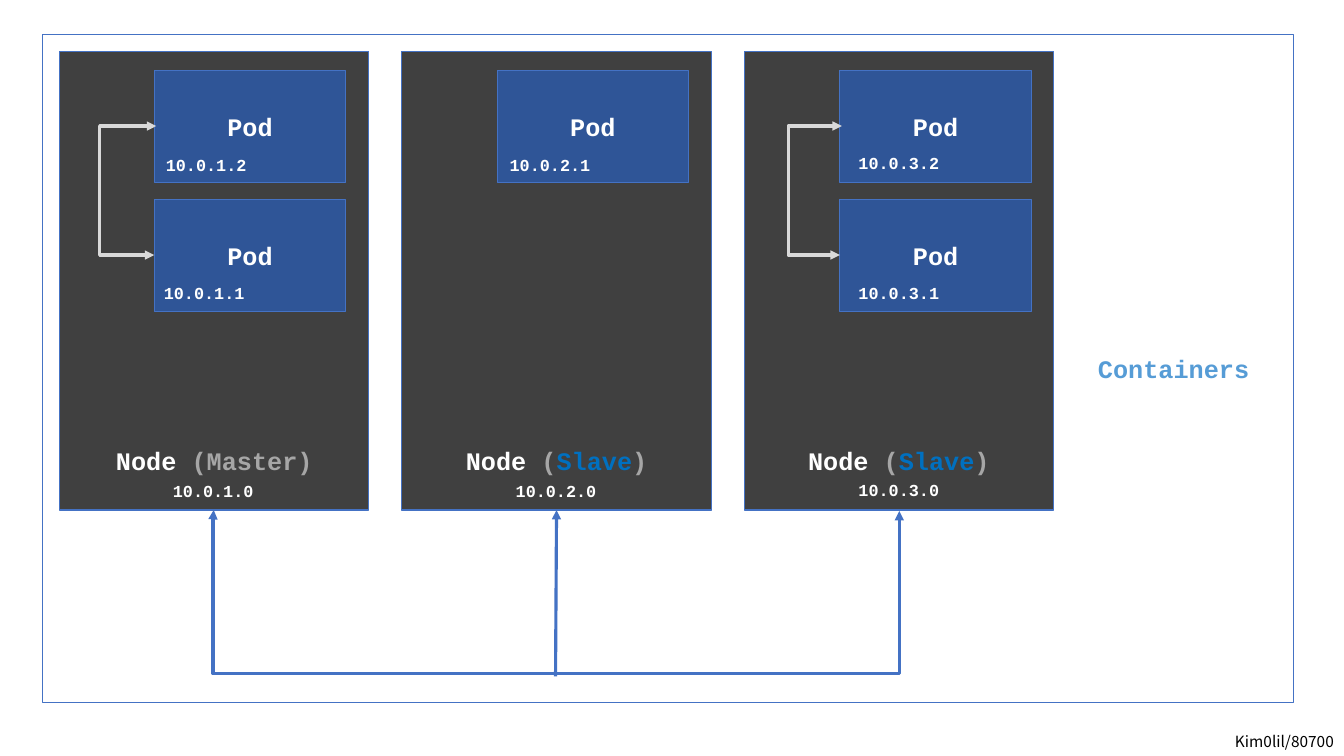
"""Draw a container cluster diagram with three nodes, their pods and the network links."""
from lxml import etree
from pptx import Presentation
from pptx.dml.color import RGBColor
from pptx.enum import shapes, text
from pptx.oxml import ns
from pptx.util import Inches, Pt

WHITE = RGBColor(0xFF, 0xFF, 0xFF)
BLACK = RGBColor(0x00, 0x00, 0x00)
NODE_GRAY = RGBColor(0x40, 0x40, 0x40)
ROLE_GRAY = RGBColor(0xA6, 0xA6, 0xA6)
POD_LINK = RGBColor(0xD9, 0xD9, 0xD9)
BLUE = RGBColor(0x44, 0x72, 0xC4)
POD_BLUE = RGBColor(0x2F, 0x55, 0x97)
SLAVE_BLUE = RGBColor(0x00, 0x70, 0xC0)
TITLE_BLUE = RGBColor(0x56, 0x9C, 0xD6)
MIDDLE = text.MSO_ANCHOR.MIDDLE
CENTER = text.PP_ALIGN.CENTER

deck = Presentation()
deck.slide_width, deck.slide_height = Inches(13.33), Inches(7.5)
page = deck.slides.add_slide(deck.slide_layouts[6])


def add_box(place, spans=(), size=18, fill=None, outlined=True, anchor=MIDDLE,
            align=CENTER, font="Courier New", bold=True):
    """Add a rectangle or a text box holding one line of coloured spans."""
    lengths = [Inches(value) for value in place]
    if outlined:
        box = page.shapes.add_shape(shapes.MSO_SHAPE.RECTANGLE, *lengths)
        box.shadow.inherit = False
        box.line.color.rgb = BLUE
        box.line.width = Pt(0.75)
        if fill is None:
            box.fill.background()
        else:
            box.fill.solid()
            box.fill.fore_color.rgb = fill
    else:
        box = page.shapes.add_textbox(*lengths)
    frame = box.text_frame
    frame.word_wrap = True
    frame.vertical_anchor = anchor
    para = frame.paragraphs[0]
    para.alignment = align
    for words, color in spans:
        span = para.add_run()
        span.text = words
        span.font.name = font
        span.font.size = Pt(size)
        span.font.bold = bold
        span.font.color.rgb = color
        if font != "Courier New":
            etree.SubElement(span.font._element, ns.qn("a:ea"), typeface=font)
    return box


def add_link(kind, start, end, color, ends, preset=None, bends=()):
    """Add a connector with arrowheads and optional bend positions."""
    link = page.shapes.add_connector(kind, *[Inches(value) for value in start + end])
    link.line.color.rgb = color
    link.line.width = Pt(2.25)
    line = link.line._get_or_add_ln()
    for name in ends:
        etree.SubElement(line, ns.qn(f"a:{name}"), type="triangle")
    properties = link._element.spPr
    etree.SubElement(properties, ns.qn("a:effectLst"))
    geometry = properties.find(ns.qn("a:prstGeom"))
    if preset:
        geometry.set("prst", preset)
    guides = geometry.find(ns.qn("a:avLst"))
    for number, bend in enumerate(bends, 1):
        etree.SubElement(guides, ns.qn("a:gd"), name=f"adj{number}",
                         fmla=f"val {round(bend * 100000)}")


add_box((11.36, 7.21, 1.97, 0.29), [("Kim0lil/80700", BLACK)], size=11, outlined=False,
        anchor=text.MSO_ANCHOR.TOP, align=text.PP_ALIGN.RIGHT,
        font="Noto Sans CJK KR", bold=False)
add_box((0.42, 0.34, 12.41, 6.63))

master = [("(Master)", ROLE_GRAY)]
slave = [("(", ROLE_GRAY), ("Slave", SLAVE_BLUE), (")", ROLE_GRAY)]
for column, role in enumerate([master, slave, slave]):
    node = add_box((0.59 + 3.395 * column, 0.51, 3.07, 4.55), [("Node ", WHITE)] + role,
                   fill=NODE_GRAY, anchor=text.MSO_ANCHOR.BOTTOM)
    node.text_frame.margin_bottom = Inches(0.34)

add_box((10.78, 0.34, 1.72, 6.63), [("Containers", TITLE_BLUE)], outlined=False)

for column, top in [(0, 1.98), (2, 1.98), (0, 0.7), (1, 0.7), (2, 0.7)]:
    add_box((1.53 + 3.4 * column, top, 1.9, 1.11), [("Pod", WHITE)], fill=POD_BLUE)

addresses = [
    ("10.0.1.0", 1.53, 4.71), ("10.0.2.0", 4.93, 4.71), ("10.0.3.0", 8.33, 4.7),
    ("10.0.1.1", 1.44, 2.75), ("10.0.1.2", 1.46, 1.48), ("10.0.2.1", 4.87, 1.48),
    ("10.0.3.1", 8.33, 2.75), ("10.0.3.2", 8.33, 1.46),
]
for address, left, top in addresses:
    add_box((left, top, 1.17, 0.31), [(address, WHITE)], size=12, outlined=False)

both = ("headEnd", "tailEnd")
elbow = shapes.MSO_CONNECTOR.ELBOW
add_link(elbow, (2.12, 5.06), (8.92, 5.07), BLUE, both, "bentConnector4", (-0.001, 165))
add_link(shapes.MSO_CONNECTOR.STRAIGHT, (5.52, 5.06), (5.51, 6.71), BLUE, ("headEnd",))
for pod_left, bend_left in [(1.53, 0.99), (8.33, 7.82)]:
    start = pod_left + 0.02
    add_link(elbow, (start, 1.25), (pod_left, 2.53), POD_LINK, both,
             bends=((start - bend_left) / 0.02,))

deck.save("out.pptx")
